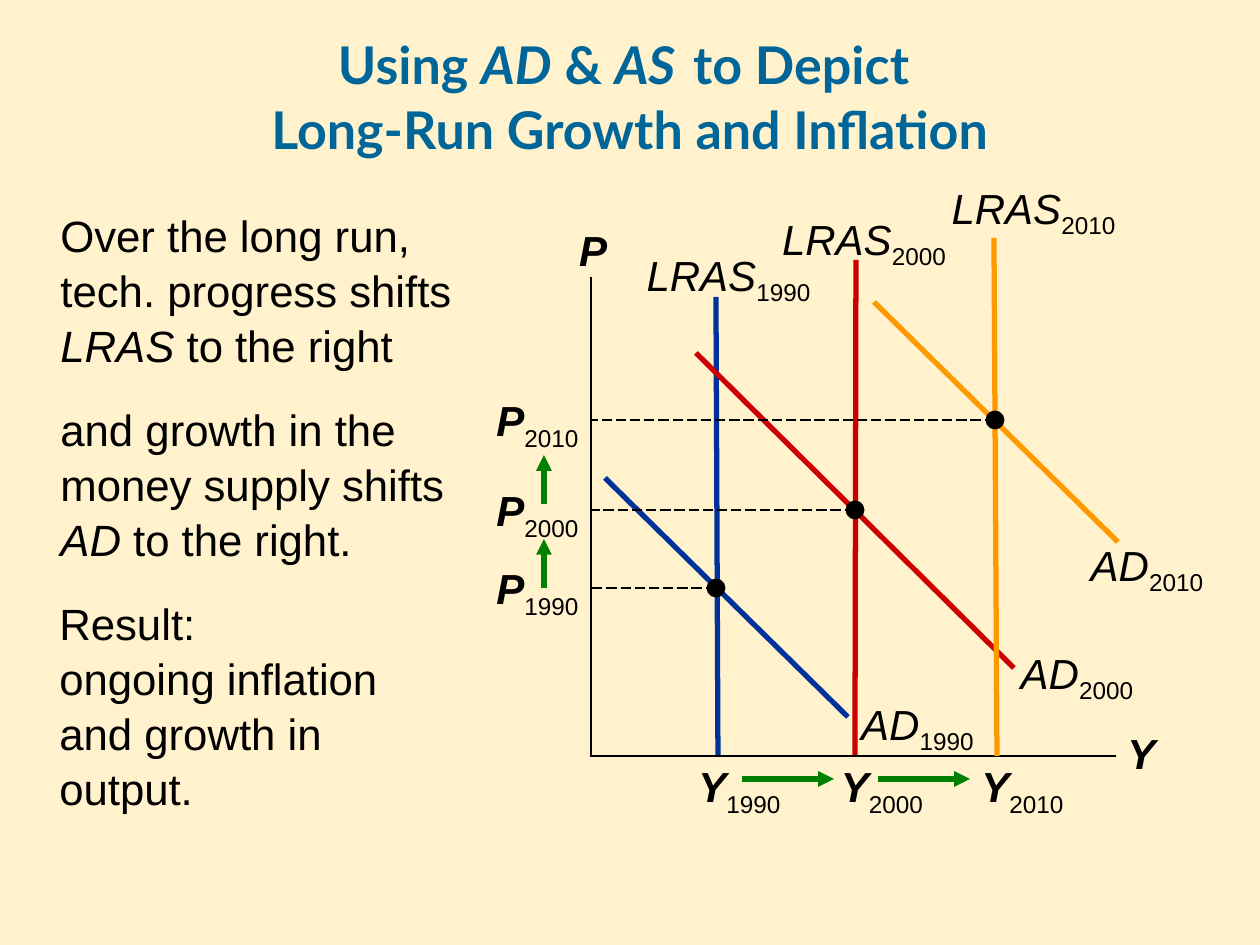
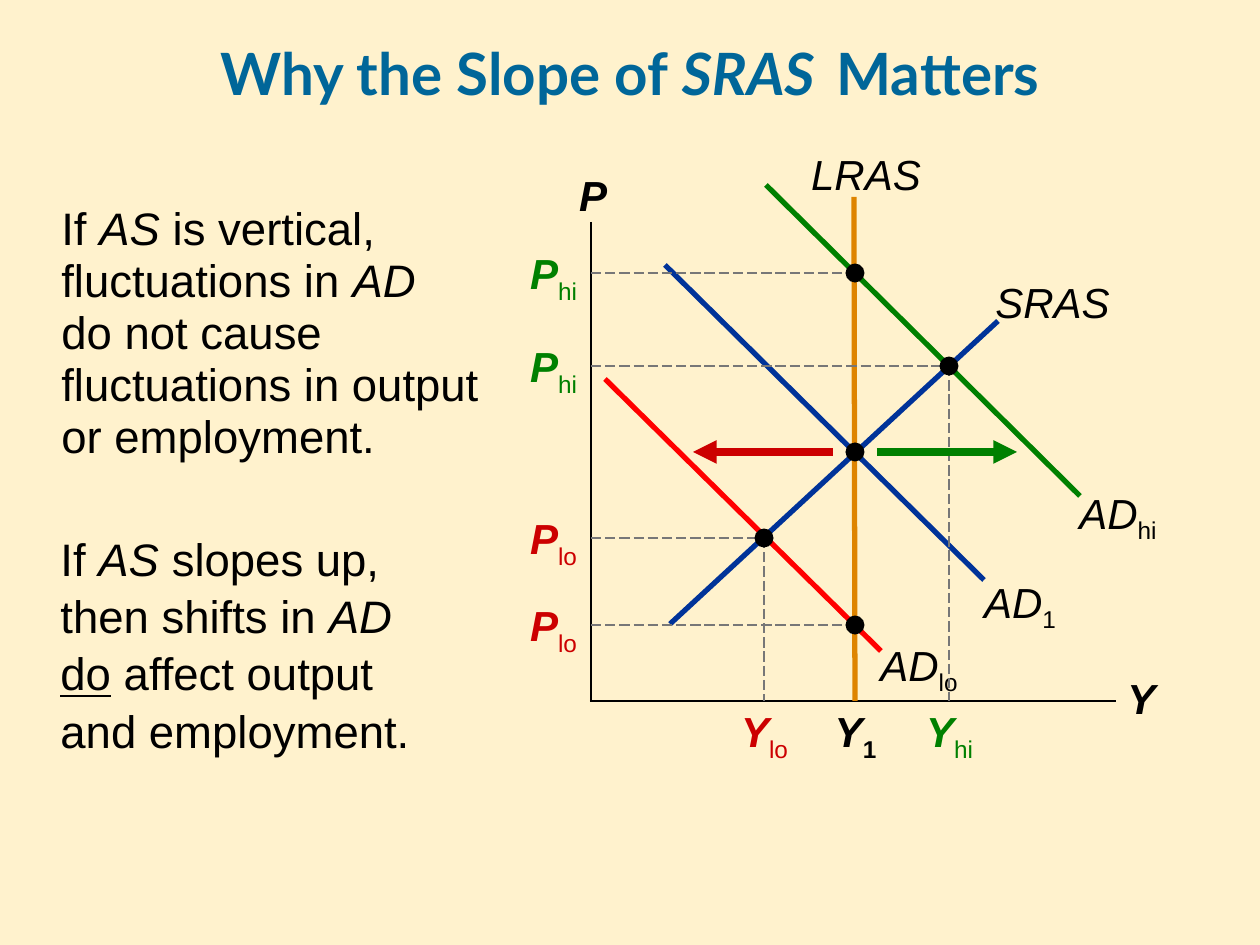
from lxml import etree
from pptx import Presentation
from pptx.dml.color import RGBColor
from pptx.enum.dml import MSO_LINE
from pptx.enum.shapes import MSO_CONNECTOR, MSO_SHAPE
from pptx.enum.text import MSO_ANCHOR, MSO_AUTO_SIZE, PP_ALIGN
from pptx.oxml.ns import qn
from pptx.util import Emu, Pt

STRAIGHT = MSO_CONNECTOR.STRAIGHT
OVAL = MSO_SHAPE.OVAL
DASH = MSO_LINE.LONG_DASH
MIDDLE = MSO_ANCHOR.MIDDLE
GROW = MSO_AUTO_SIZE.SHAPE_TO_FIT_TEXT
CENTER, LEFT = PP_ALIGN.CENTER, PP_ALIGN.LEFT

WIDTH, HEIGHT = 1260, 945
SCALE = 914400 / 126

CREAM, TEAL, BLACK, GRAY = "FFF2CD", "006699", "000000", "777777"
BLUE, CRIMSON, RED = "003399", "CC0000", "FF0000"
ORANGE, AMBER, GREEN = "FF9900", "DE8400", "008000"

ITALIC = {"italic": True}
UNDER = {"underline": True}


def px(n):
    return Emu(round(n * SCALE))


def color(code):
    return RGBColor.from_string(code)


def write(slide, box, runs, size, hue=BLACK, face="Arial", bold=False,
          align=LEFT, space=None, pad=True):
    """Add a text box; each run is (text, font values), "\\n" breaks a line."""
    frame = slide.shapes.add_textbox(*map(px, box)).text_frame
    frame.word_wrap = True
    if not pad:
        for side in ("left", "top", "right", "bottom"):
            setattr(frame, "margin_" + side, 0)
    para = frame.paragraphs[0]
    para.alignment = align
    para.line_spacing = space
    for text, extra in runs:
        look = {"size": Pt(size), "name": face, "bold": bold, "italic": False}
        look.update(extra)
        for i, part in enumerate(text.split("\n")):
            if i:
                para.add_line_break()
            if not part:
                continue
            run = para.add_run()
            run.text = part
            for key, value in look.items():
                if key == "base":
                    run._r.get_or_add_rPr().set("baseline", str(value))
                else:
                    setattr(run.font, key, value)
            run.font.color.rgb = color(hue)
    return frame


def title(slide, box, runs, size, space=None):
    frame = write(slide, box, runs, size, TEAL, "Lato", True, CENTER, space)
    frame.vertical_anchor = MIDDLE


def body(slide, box, runs, size, space=1.05):
    write(slide, box, runs, size, space=space)


class Plot:
    """A graph whose parts are placed from the top left corner of its axes."""

    def __init__(self, slide, box):
        self.slide = slide
        self.left, self.top, self.wide, self.high = box

    def axes(self):
        self.line((1, 0), (1, self.high), BLACK, 1)
        self.line((0, self.high), (self.wide, self.high), BLACK, 1)
        self.label((-26, -59, 58), "P", bold=True)
        self.label((self.wide - 6, self.high - 35, 63), "Y", bold=True)

    def line(self, start, end, hue, weight=3, dash=None, arrow=False):
        x, y = self.left, self.top
        ends = (x + start[0], y + start[1], x + end[0], y + end[1])
        link = self.slide.shapes.add_connector(STRAIGHT, *map(px, ends))
        link.line.color.rgb = color(hue)
        link.line.width = Pt(weight)
        if dash:
            link.line.dash_style = dash
        props = link._element.spPr
        if arrow:
            etree.SubElement(props.find(qn("a:ln")), qn("a:tailEnd"), type="triangle")
        etree.SubElement(props, qn("a:effectLst"))

    def guide(self, start, end, hue):
        self.line(start, end, hue, 0.75, DASH)

    def arrow(self, start, end, hue, weight=3):
        self.line(start, end, hue, weight, arrow=True)

    def label(self, spot, name, sub="", hue=BLACK, bold=False, pad=True, heavy=False):
        """Write an italic name with an upright subscript; spot is x, y, width."""
        x, y, wide = spot
        box = (self.left + x, self.top + y, wide, 63 if pad else 50)
        runs = [(name, ITALIC), (sub, {"bold": heavy, "base": -25000})]
        frame = write(self.slide, box, runs, 24, hue, bold=bold, align=CENTER, pad=pad)
        frame.auto_size = GROW

    def tick(self, spot, name, sub, hue=BLACK, heavy=False):
        self.label(spot, name, sub, hue, True, False, heavy)

    def dot(self, x, y, size=19):
        box = (self.left + x - size / 2, self.top + y - size / 2, size, size)
        mark = self.slide.shapes.add_shape(OVAL, *map(px, box))
        mark.shadow.inherit = False
        mark.fill.solid()
        mark.fill.fore_color.rgb = color(BLACK)
        mark.line.fill.background()


def growth(slide, box):
    """Draw the long-run shifts of both curves over three decades."""
    plot = Plot(slide, box)
    plot.axes()
    base = plot.high
    # year, hue, AD ends, AD label, LRAS ends, LRAS label
    curves = [
        ("1990", BLUE, (15, 201), (258, 440), (253, 415, 149),
         (126, 20), (128, base - 1), (34, -34, 209)),
        ("2000", CRIMSON, (106, 76), (424, 391), (404, 364, 166),
         (266, -17), (265, base - 1), (158, -70, 232)),
        ("2010", ORANGE, (284, 25), (528, 265), (477, 256, 160),
         (404, -39), (407, base), (339, -101, 209)),
    ]
    for year, hue, start, end, spot, top, foot, head in curves:
        plot.line(start, end, hue)
        plot.label(spot, "AD", year)
        plot.line(top, foot, hue)
        plot.label(head, "LRAS", year)
    # year, crossing point, left and width of the Y label
    for year, x, y, left, wide in [("1990", 126, 311, 99, 101),
                                   ("2000", 265, 233, 232, 120),
                                   ("2010", 405, 143, 370, 125)]:
        plot.guide((x, y), (1, y), BLACK)
        plot.dot(x, y)
        plot.tick((-105, y - 25, 105), "P", year)
        plot.tick((left, base + 5, wide), "Y", year)
    for x in (152, 288):
        plot.arrow((x, base + 23), (x + 92, base + 23), GREEN)
    for y in (311, 227):
        plot.arrow((-46, y), (-46, y - 49), GREEN)


def slope(slide, box):
    """Draw demand shifts along a vertical and a sloping supply curve."""
    plot = Plot(slide, box)
    plot.axes()
    base = plot.high
    mid, level = 265, 230
    for start, end, hue, spot, name, sub, pad in [
        ((75, 43), (394, 358), BLUE, (375, 348, 110), "AD", "1", True),
        ((80, 402), (408, 99), BLUE, (389, 48, 147), "SRAS", "", True),
        ((264, -25), (mid, base), AMBER, (211, -73, 130), "LRAS", "", False),
        ((176, -37), (490, 274), GREEN, (473, 259, 110), "AD", "hi", True),
        ((15, 157), (291, 429), RED, (274, 411, 110), "AD", "lo", True),
    ]:
        plot.line(start, end, hue)
        plot.label(spot, name, sub, pad=pad, heavy=False)
    plot.dot(mid, level)
    plot.tick((mid - 33, base + 5, 67), "Y", "1", heavy=True)
    for x, y, sub, hue in [(174, 316, "lo", CRIMSON), (359, 144, "hi", GREEN),
                           (mid, 51, "hi", GREEN), (mid, 403, "lo", CRIMSON)]:
        plot.guide((1, y), (x, y), GRAY)
        plot.tick((-70, y - 25, 67), "P", sub, hue)
        if x != mid:
            plot.guide((x, y), (x, base), GRAY)
            plot.tick((x - 33, base + 5, 67), "Y", sub, hue)
        plot.dot(x, y)
    for side, hue in ((1, GREEN), (-1, CRIMSON)):
        plot.arrow((mid + side * 22, level), (mid + side * 162, level), hue, 4.5)


def add_page(deck):
    slide = deck.slides.add_slide(deck.slide_layouts[6])
    slide.background.fill.solid()
    slide.background.fill.fore_color.rgb = color(CREAM)
    return slide


def main():
    deck = Presentation()
    deck.slide_width, deck.slide_height = px(WIDTH), px(HEIGHT)

    page = add_page(deck)
    title(page, (0, 29, WIDTH, 131), [
        ("Using ", {}), ("AD", ITALIC), (" & ", {}), ("AS ", ITALIC),
        (" ", {"size": Pt(15.3)}),
        ("to Depict \nLong-Run Growth and Inflation", {})], 29.7, 1.05)
    body(page, (48, 200, 423, 184), [
        ("Over the long run, tech. progress shifts ", {}), ("LRAS", ITALIC),
        (" to the right", {})], 25)
    body(page, (48, 394, 423, 186), [
        ("and growth in the money supply shifts ", {}), ("AD", ITALIC),
        (" to the right.", {})], 25)
    body(page, (47, 588, 375, 234), [
        ("Result:\nongoing inflation and growth in output.", {})], 25)
    growth(page, (590, 277, 526, 479))

    page = add_page(deck)
    title(page, (0, 28, WIDTH, 89), [
        ("Why the Slope of ", {}), ("SRAS ", ITALIC), (" ", {"size": Pt(21.6)}),
        ("Matters", {})], 33.3)
    body(page, (49, 198, 476, 297), [
        ("If ", {}), ("AS", ITALIC), (" is vertical, fluctuations in ", {}),
        ("AD", ITALIC),
        ("\ndo not cause fluctuations in output or employment.", {})], 26, 0.95)
    body(page, (48, 522, 423, 255), [
        ("If ", {}), ("AS", ITALIC), (" slopes up,\nthen shifts in ", {}),
        ("AD\n", ITALIC), ("do", UNDER),
        (" affect output and employment.", {})], 26)
    slope(page, (590, 222, 526, 479))

    deck.save("out.pptx")


if __name__ == "__main__":
    main()
